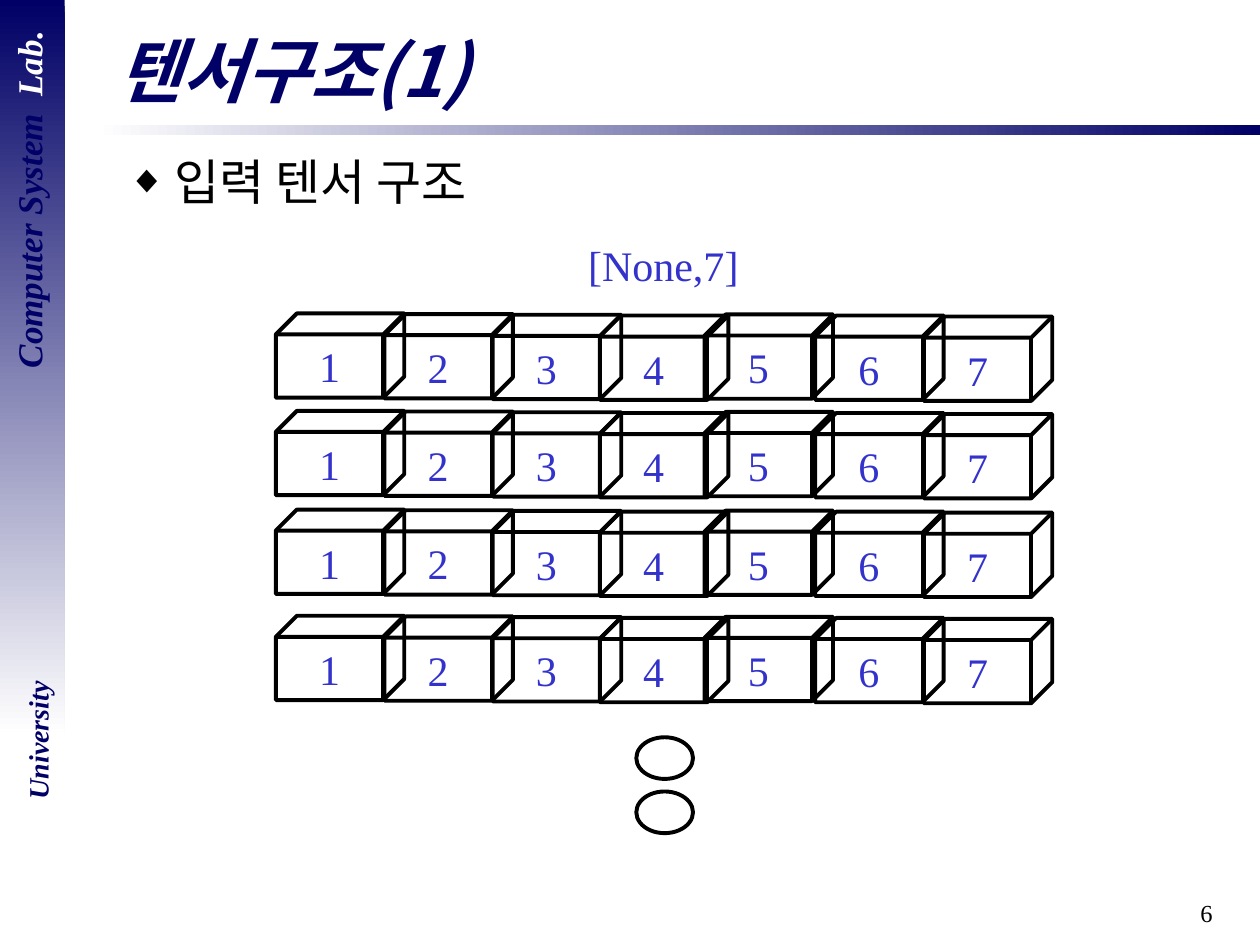
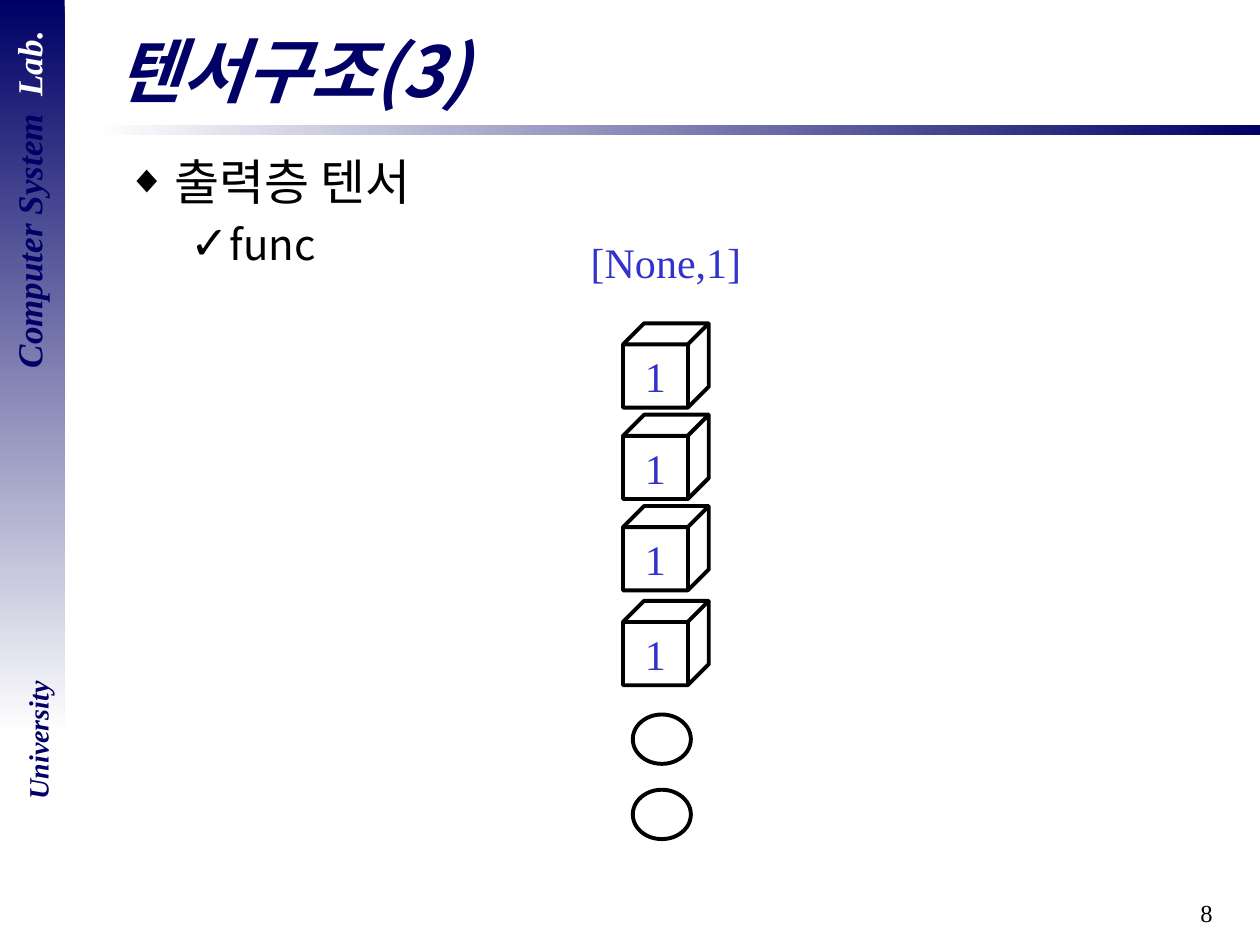
"""Build two slides that show the input and output tensors as stacks of cubes."""
from dataclasses import dataclass

from lxml import etree
from pptx import Presentation
from pptx.dml.color import RGBColor
from pptx.enum import shapes, text
from pptx.oxml.ns import qn
from pptx.util import Pt


@dataclass(frozen=True)
class Theme:
    navy: str = "000066"
    white: str = "FFFFFF"
    black: str = "000000"
    label: str = "3333CC"
    serif: str = "Times New Roman"
    sans: str = "Noto Sans CJK KR"
    title: int = 40
    body: tuple = (28, 24)
    cube: int = 24
    lab: int = 20
    school: int = 16
    number: int = 14
    outline: float = 2.25


T = Theme()
LEFT, CENTER, RIGHT = text.PP_ALIGN.LEFT, text.PP_ALIGN.CENTER, text.PP_ALIGN.RIGHT

LAB = [("Computer System", T.navy, 0), (" ", T.navy, 5), ("Lab.", T.white, 0)]
SCHOOL = [("University", T.navy, 0)]

# bullet character, size in percent, left margin, hanging indent
BULLETS = [("◆", 80, 27, 27), ("✓", 110, 58.5, 22.5)]

SLIDES = [
    dict(
        title="텐서구조(1)", number="6",
        body=[(0, "입력 텐서 구조")],
        shape=("[None,7]", 329, 133.2),
        cells="1234567", cube=(73.4, 48.2),
        lefts=(157.6, 219.7, 281.6, 342.8, 402.6, 465.8, 527.9),
        drops=(0, 0.4, 0.8, 1.2, 0.6, 1.2, 1.8),
        row_tops=(179.1, 234.8, 291.2, 351.9),
        dots=(363.6, 32.4, 23.8, (421.3, 452.3)),
    ),
    dict(
        title="텐서구조(3)", number="8",
        body=[(0, "출력층 텐서"), (1, "func")],
        shape=("[None,1]", 330.5, 131.8),
        cells="1", cube=(49, 48.2),
        lefts=(356,), drops=(0,),
        row_tops=(184.8, 237, 289.2, 343.4),
        dots=(361.6, 33.2, 28.2, (408.3, 451.3)),
    ),
]


def add_run(p, words, size, color, font=T.serif, slanted=False, spacing=0):
    """Add one formatted run to a paragraph."""
    r = p.add_run()
    r.text = words
    r.font.size, r.font.name = Pt(size), font
    r.font.bold = r.font.italic = slanted
    r.font.color.rgb = RGBColor.from_string(color)
    rPr = r.font._element
    for tag in ("a:ea", "a:cs"):
        etree.SubElement(rPr, qn(tag)).set("typeface", font)
    if spacing:
        rPr.set("spc", str(spacing * 100))


def add_label(slide, box, runs, size, align, slanted=False, rotation=0):
    """Add a text box holding one paragraph of (words, colour, spacing) runs."""
    sp = slide.shapes.add_textbox(*map(Pt, box))
    sp.rotation = rotation
    sp.text_frame.word_wrap = True
    p = sp.text_frame.paragraphs[0]
    p.alignment = align
    for words, color, spacing in runs:
        add_run(p, words, size, color, slanted=slanted, spacing=spacing)


def add_band(slide, box, colors, angle):
    """Add a rectangle that fades between two colours."""
    sp = slide.shapes.add_shape(shapes.MSO_SHAPE.RECTANGLE, *map(Pt, box))
    sp.shadow.inherit = False
    sp.line.fill.background()
    sp.fill.gradient()
    sp.fill.gradient_angle = angle
    for stop, position, color in zip(sp.fill.gradient_stops, (0, 1), colors):
        stop.position = position
        stop.color.rgb = RGBColor.from_string(color)


def add_outline(slide, kind, box, words=""):
    """Add an unfilled shape with a black outline and an optional label."""
    sp = slide.shapes.add_shape(kind, *map(Pt, box))
    sp.shadow.inherit = False
    sp.fill.background()
    sp.line.color.rgb = RGBColor.from_string(T.black)
    sp.line.width = Pt(T.outline)
    if words:
        tf = sp.text_frame
        tf.vertical_anchor = text.MSO_ANCHOR.MIDDLE
        tf.word_wrap = False
        p = tf.paragraphs[0]
        p.alignment = CENTER
        add_run(p, words, T.cube, T.label)


def add_frame(slide, number):
    """Draw the bands, side lettering and slide number that slides share."""
    add_band(slide, (54, 71.3, 666, 5.8), (T.white, T.navy), 0)
    add_band(slide, (0, 0, 37, 420), (T.navy, T.white), 270)
    add_label(slide, (-94.3, 98.6, 221, 31), LAB, T.lab, CENTER, True, 270)
    add_label(slide, (-29.5, 409.7, 102.2, 26.6), SCHOOL, T.school, CENTER, True, 270)
    add_label(slide, (550, 509.8, 150, 30), [(number, T.black, 0)], T.number, RIGHT)


def place(sp, box, anchor):
    """Move a placeholder and return its text frame."""
    sp.left, sp.top, sp.width, sp.height = map(Pt, box)
    tf = sp.text_frame
    tf.auto_size = text.MSO_AUTO_SIZE.NONE
    tf.word_wrap = True
    tf.vertical_anchor = anchor
    return tf


def set_bullet(p, level):
    """Give a paragraph the bullet and indent of its level."""
    char, percent, margin, hanging = BULLETS[level]
    p.level = level
    pPr = p._p.get_or_add_pPr()
    pPr.set("marL", str(Pt(margin)))
    pPr.set("indent", str(-Pt(hanging)))
    etree.SubElement(pPr, qn("a:buSzPct")).set("val", str(percent * 1000))
    etree.SubElement(pPr, qn("a:buChar")).set("char", char)


def fill_placeholders(slide, title, body):
    """Write the title and the bulleted list."""
    tf = place(slide.shapes.title, (59.8, 12.2, 640.8, 55.4), text.MSO_ANCHOR.MIDDLE)
    p = tf.paragraphs[0]
    p.alignment = LEFT
    add_run(p, title, T.title, T.navy, T.sans, slanted=True)

    tf = place(slide.placeholders[1], (65.5, 82.8, 629.3, 415.4), text.MSO_ANCHOR.TOP)
    for i, (level, words) in enumerate(body):
        p = tf.add_paragraph() if i else tf.paragraphs[0]
        set_bullet(p, level)
        add_run(p, words, T.body[level], T.black, T.sans)


def draw_tensor(slide, spec_of):
    """Draw the shape label, the rows of cubes and the continuation dots."""
    words, left, top = spec_of["shape"]
    add_label(slide, (left, top, 150, 36), [(words, T.label, 0)], T.cube, LEFT)
    for row_top in spec_of["row_tops"]:
        for cell, x, drop in zip(spec_of["cells"], spec_of["lefts"], spec_of["drops"]):
            add_outline(slide, shapes.MSO_SHAPE.CUBE,
                        (x, row_top + drop, *spec_of["cube"]), cell)
    x, width, height, tops = spec_of["dots"]
    for y in tops:
        add_outline(slide, shapes.MSO_SHAPE.OVAL, (x, y, width, height))


def main():
    """Build and save the deck."""
    prs = Presentation()
    prs.slide_width, prs.slide_height = Pt(720), Pt(540)
    for content in SLIDES:
        slide = prs.slides.add_slide(prs.slide_layouts[1])
        add_frame(slide, content["number"])
        fill_placeholders(slide, content["title"], content["body"])
        draw_tensor(slide, content)
    prs.save("out.pptx")


if __name__ == "__main__":
    main()
